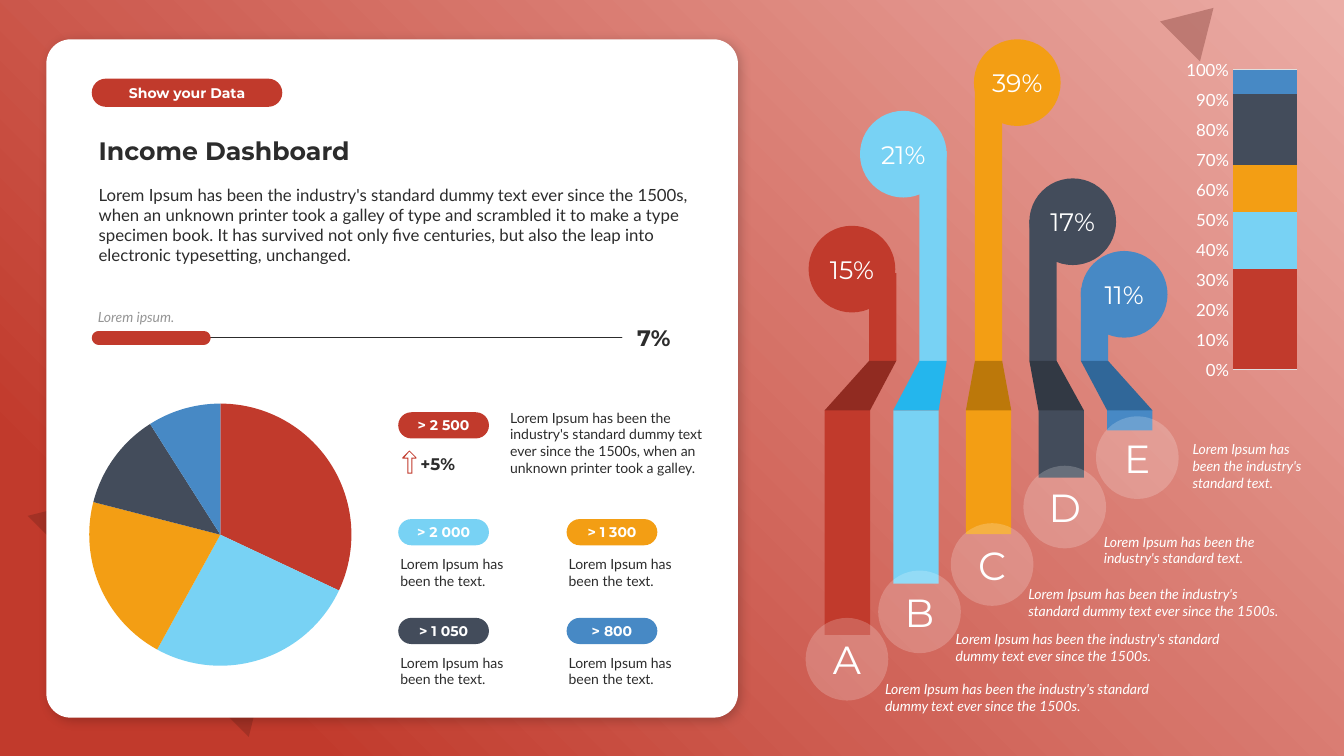
from dataclasses import dataclass

from lxml import etree
from pptx import Presentation
from pptx.chart.data import CategoryChartData
from pptx.dml.color import RGBColor
from pptx.enum.chart import XL_CHART_TYPE, XL_TICK_MARK
from pptx.enum.shapes import MSO_CONNECTOR, MSO_SHAPE
from pptx.enum.text import MSO_ANCHOR, MSO_AUTO_SIZE, PP_ALIGN
from pptx.oxml.ns import qn
from pptx.util import Inches, Pt

RECTANGLE, ROUNDED = MSO_SHAPE.RECTANGLE, MSO_SHAPE.ROUNDED_RECTANGLE
OVAL, TRIANGLE = MSO_SHAPE.OVAL, MSO_SHAPE.ISOSCELES_TRIANGLE
TOP, MIDDLE, BOTTOM = MSO_ANCHOR.TOP, MSO_ANCHOR.MIDDLE, MSO_ANCHOR.BOTTOM
LEFT, CENTER = PP_ALIGN.LEFT, PP_ALIGN.CENTER
BODY, HEADING = "Lato", "Montserrat"
RED, SKY, ORANGE, SLATE, BLUE = COLORS = ["C13A2C", "78D2F4", "F39E14", "434C5B", "4789C5"]
WHITE, INK, GRAY, MAROON = "FFFFFF", "2C2C2C", "969696", "601D16"
LOREM = "Lorem Ipsum has been the industry's standard "
SHORT, LONG = LOREM + "text.", LOREM + "dummy text ever since the 1500s."


@dataclass
class Style:
    size: float
    color: str = WHITE
    font: str = BODY
    bold: bool = False
    italic: bool = False
    align: PP_ALIGN = LEFT
    anchor: MSO_ANCHOR = TOP
    side: float = 0.1
    edge: float = 0.05
    after: float = 0


@dataclass
class Badge:
    left: float
    top: float
    text: str
    color: str


@dataclass
class Ribbon:
    color: str
    fold: str
    top_left: float
    top: float
    low_left: float
    bottom: float
    bubble: tuple[float, float]
    percent: str
    letter: str
    letter_top: float
    note: str
    note_box: tuple[float, float, float, float]


PILL = Style(10, font=HEADING, bold=True, align=CENTER, anchor=MIDDLE, side=0, edge=0)
CAPTION = Style(10, INK, side=0)
NOTE = Style(10, italic=True, after=6)
PERCENT = Style(18, font=HEADING, align=CENTER, anchor=MIDDLE, side=0)
LETTER = Style(28, font=HEADING, align=CENTER, anchor=MIDDLE)

BADGES = [
    Badge(3.95, 4.09, "> 2 500", RED),
    Badge(3.95, 5.15, "> 2 000", SKY),
    Badge(5.62, 5.15, "> 1 300", ORANGE),
    Badge(3.95, 6.13, "> 1 050", SLATE),
    Badge(5.62, 6.13, "> 800", BLUE),
]
FOLD_TOP, FOLD_BOTTOM, TOP_WIDTH, LOW_WIDTH = 3.58, 4.07, 0.27, 0.45
RIBBONS = [
    Ribbon(RED, "912B21", 8.62, 2.71, 8.18, 6.3, (8.02, 2.24), "15%", "A", 6.13,
           LONG, (8.68, 6.7, 3.05, 0.44)),
    Ribbon(SKY, "24B6ED", 9.12, 1.5, 8.86, 5.79, (8.53, 1.1), "21%", "B", 5.66,
           LONG, (9.38, 6.21, 3.05, 0.44)),
    Ribbon(ORANGE, "BC780A", 9.67, 0.83, 9.58, 5.3, (9.66, 0.39), "39%", "C", 5.19,
           LONG, (10.1, 5.76, 2.71, 0.44)),
    Ribbon(SLATE, "323944", 10.21, 2.18, 10.3, 4.74, (10.21, 1.77), "17%", "D", 4.62,
           SHORT, (10.85, 5.24, 1.95, 0.44)),
    Ribbon(BLUE, "306799", 10.72, 2.86, 10.98, 4.27, (10.72, 2.49), "11%", "E", 4.13,
           SHORT, (11.73, 4.32, 1.43, 0.61)),
]


def rgb(value: str) -> RGBColor:
    return RGBColor.from_string(value)


def write(shape, text: str, style: Style) -> None:
    frame = shape.text_frame
    frame.word_wrap = True
    frame.vertical_anchor = style.anchor
    frame.margin_left = frame.margin_right = Inches(style.side)
    frame.margin_top = frame.margin_bottom = Inches(style.edge)
    paragraph = frame.paragraphs[0]
    paragraph.text = text
    paragraph.alignment = style.align
    paragraph.space_after = Pt(style.after)
    font = paragraph.font
    font.name, font.size, font.color.rgb = style.font, Pt(style.size), rgb(style.color)
    font.bold, font.italic = style.bold, style.italic


def add_text(box: tuple, text: str, style: Style) -> None:
    shape = slide.shapes.add_textbox(*map(Inches, box))
    write(shape, text, style)
    shape.text_frame.auto_size = MSO_AUTO_SIZE.SHAPE_TO_FIT_TEXT


def paint(shape, color: str, alpha: int = 100) -> None:
    shape.shadow.inherit = False
    shape.line.fill.background()
    shape.fill.solid()
    shape.fill.fore_color.rgb = rgb(color)
    if alpha < 100:
        tint = shape.element.spPr.find(".//" + qn("a:srgbClr"))
        etree.SubElement(tint, qn("a:alpha"), val=str(alpha * 1000))


def add_block(kind: MSO_SHAPE, box: tuple, color: str, alpha: int = 100):
    shape = slide.shapes.add_shape(kind, *map(Inches, box))
    paint(shape, color, alpha)
    return shape


def add_pill(box: tuple, color: str, text: str) -> None:
    pill = add_block(ROUNDED, box, color)
    pill.adjustments[0] = 0.5
    write(pill, text, PILL)


def add_outline(contours: list, color: str) -> None:
    points = [[(Inches(x), Inches(y)) for x, y in contour] for contour in contours]
    builder = slide.shapes.build_freeform(*points[0][0])
    builder.add_line_segments(points[0][1:], close=True)
    for contour in points[1:]:
        builder.move_to(*contour[0])
        builder.add_line_segments(contour[1:], close=True)
    paint(builder.convert_to_shape(), color)


def add_line(start: float, end: float, y: float, color: str, width: float) -> None:
    line = slide.shapes.add_connector(
        MSO_CONNECTOR.STRAIGHT, Inches(start), Inches(y), Inches(end), Inches(y))
    line.line.color.rgb, line.line.width = rgb(color), Pt(width)
    line.get_or_add_ln().set("cap", "rnd")
    etree.SubElement(line.element.spPr, qn("a:effectLst"))


def add_chart(kind: XL_CHART_TYPE, box: tuple, data: CategoryChartData, size: float,
              color: str, layout: tuple):
    chart = slide.shapes.add_chart(kind, *map(Inches, box), data).chart
    chart.has_legend = chart.has_title = False
    chart.font.name, chart.font.size, chart.font.color.rgb = BODY, Pt(size), rgb(color)
    # Fixed inner plot area, as fractions of the chart
    plot_area = chart.plots[0].series[0].format and chart.element.find(".//" + qn("c:plotArea"))
    for old in plot_area.findall(qn("c:layout")):
        plot_area.remove(old)
    outer = etree.Element(qn("c:layout"))
    plot_area.insert(0, outer)
    manual = etree.SubElement(outer, qn("c:manualLayout"))
    values = ("inner", "edge", "edge", *map(str, layout))
    for tag, value in zip(("layoutTarget", "xMode", "yMode", "x", "y", "w", "h"), values):
        etree.SubElement(manual, qn("c:" + tag), val=value)
    return chart


def fill_solid(part, color: str) -> None:
    part.format.fill.solid()
    part.format.fill.fore_color.rgb = rgb(color)


presentation = Presentation()
presentation.slide_width, presentation.slide_height = Inches(13.33), Inches(7.5)
slide = presentation.slides.add_slide(presentation.slide_layouts[6])

# Backdrop: radial gradient from the top right corner, and two triangles
backdrop = add_block(RECTANGLE, (0, 0, 13.33, 7.5), RED)
backdrop.fill.gradient()
for stop, color, position in zip(backdrop.fill.gradient_stops, ("EBADA6", RED), (0, 0.85)):
    stop.color.rgb, stop.position = rgb(color), position
gradient = backdrop.element.spPr.find(qn("a:gradFill"))
gradient.remove(gradient.find(qn("a:lin")))
focus = etree.SubElement(gradient, qn("a:path"), path="circle")
etree.SubElement(focus, qn("a:fillToRect"), l="100000", b="100000")
for box in ((0.73, 4.02, 3.1, 2.57), (11.59, 0.01, 0.56, 0.47)):
    add_block(TRIANGLE, box, MAROON, 30).rotation = 45

# White card with a soft shadow
card = add_block(ROUNDED, (0.46, 0.39, 6.86, 6.73), WHITE)
card.adjustments[0] = 0.036
shadow = etree.SubElement(
    card.element.spPr.find(qn("a:effectLst")), qn("a:outerShdw"), blurRad=str(Pt(8)),
    dist=str(Pt(3)), dir=str(45 * 60000), algn="tl", rotWithShape="0")
shade = etree.SubElement(shadow, qn("a:srgbClr"), val="000000")
etree.SubElement(shade, qn("a:alpha"), val="20000")

# Heading and introduction
add_text((0.88, 1.78, 6.16, 0.91), LOREM + "dummy text ever since the 1500s, when an unknown "
         "printer took a galley of type and scrambled it to make a type specimen book. It has "
         "survived not only five centuries, but also the leap into electronic typesetting, "
         "unchanged.", Style(12, INK, after=6))
add_text((0.88, 1.29, 6.16, 0.4), "Income Dashboard",
         Style(18, INK, HEADING, bold=True, anchor=BOTTOM))
add_pill((0.91, 0.78, 1.89, 0.28), RED, "Show your Data")

# Progress bar
add_line(0.92, 6.17, 3.35, INK, 0.5)
add_line(0.98, 2.02, 3.35, RED, 10)
add_text((6.22, 3.16, 0.95, 0.37), "7%", Style(16, INK, HEADING, bold=True, anchor=MIDDLE))
add_text((0.89, 3.01, 1.92, 0.27), "Lorem ipsum.",
         Style(10, GRAY, italic=True, anchor=BOTTOM, side=0.08))

# Pie chart
pie_data = CategoryChartData()
pie_data.categories = ["1", "2", "3", "4", "5"]
pie_data.add_series("Series 1", (32, 26, 21, 12, 9))
pie = add_chart(XL_CHART_TYPE.PIE, (0.6, 3.86, 3.14, 2.89), pie_data, 10, INK,
                (0.09, 0.05, 0.83, 0.9))
for index, color in enumerate(COLORS):
    fill_solid(pie.plots[0].series[0].points[index], color)

# Badges with captions, and the growth arrow
for badge in BADGES:
    add_pill((badge.left, badge.top, 0.9, 0.26), badge.color, badge.text)
for badge in BADGES[1:]:
    add_text((badge.left + 0.02, badge.top + 0.31, 1.31, 0.44),
             "Lorem Ipsum has been the text.", CAPTION)
add_text((5.06, 4.01, 2.1, 0.77), LOREM + "dummy text ever since the 1500s, when an unknown "
         "printer took a galley.", CAPTION)
add_text((4.17, 4.45, 1.27, 0.3), "+5%", Style(12, INK, HEADING, bold=True, side=0))
add_outline([
    [(4.06, 4.47), (4.13, 4.54), (4.13, 4.55), (4.09, 4.55), (4.09, 4.7), (4.04, 4.7),
     (4.04, 4.55), (3.99, 4.55), (3.99, 4.54)],
    [(4.06, 4.48), (4.01, 4.54), (4.05, 4.54), (4.05, 4.69), (4.08, 4.69), (4.08, 4.54),
     (4.12, 4.54)],
], RED)

# Folded ribbons, then the circles at both ends and the notes
for ribbon in RIBBONS:
    upper, lower = ribbon.top_left, ribbon.low_left
    add_block(RECTANGLE, (upper, ribbon.top, TOP_WIDTH, FOLD_TOP - ribbon.top), ribbon.color)
    add_block(RECTANGLE, (lower, FOLD_BOTTOM, LOW_WIDTH, ribbon.bottom - FOLD_BOTTOM),
              ribbon.color)
    add_outline([[(upper + TOP_WIDTH, FOLD_TOP), (lower + LOW_WIDTH, FOLD_BOTTOM),
                  (lower, FOLD_BOTTOM), (upper, FOLD_TOP)]], ribbon.fold)
for ribbon in reversed(RIBBONS):
    write(add_block(OVAL, (*ribbon.bubble, 0.86, 0.86), ribbon.color), ribbon.percent, PERCENT)
for index, ribbon in enumerate(RIBBONS):
    circle = add_block(OVAL, (7.99 + 0.72 * index, ribbon.letter_top, 0.82, 0.82), WHITE, 20)
    write(circle, ribbon.letter, LETTER)
    add_text(ribbon.note_box, ribbon.note, NOTE)

# Stacked column chart
stack_data = CategoryChartData()
stack_data.categories = ["1"]
for number, value in enumerate((34, 19, 16, 24, 8), start=1):
    stack_data.add_series(f"Series {number}", (value,))
stack = add_chart(XL_CHART_TYPE.COLUMN_STACKED_100, (11.75, 0.53, 1.14, 3.3), stack_data, 12,
                  WHITE, (0.42, 0.05, 0.56, 0.9))
stack.plots[0].gap_width, stack.plots[0].overlap = 0, 100
for series, color in zip(stack.plots[0].series, COLORS):
    fill_solid(series, color)
stack.category_axis.visible = False
axis = stack.value_axis
axis.minimum_scale, axis.maximum_scale, axis.major_unit = 0, 1, 0.1
axis.major_tick_mark = XL_TICK_MARK.NONE
axis.tick_labels.number_format, axis.tick_labels.number_format_is_linked = "0%", False
axis.format.line.fill.background()
axis.major_gridlines.format.line.color.rgb = rgb("DFDFDF")
axis.major_gridlines.format.line.width = Pt(0.75)

presentation.save("out.pptx")
